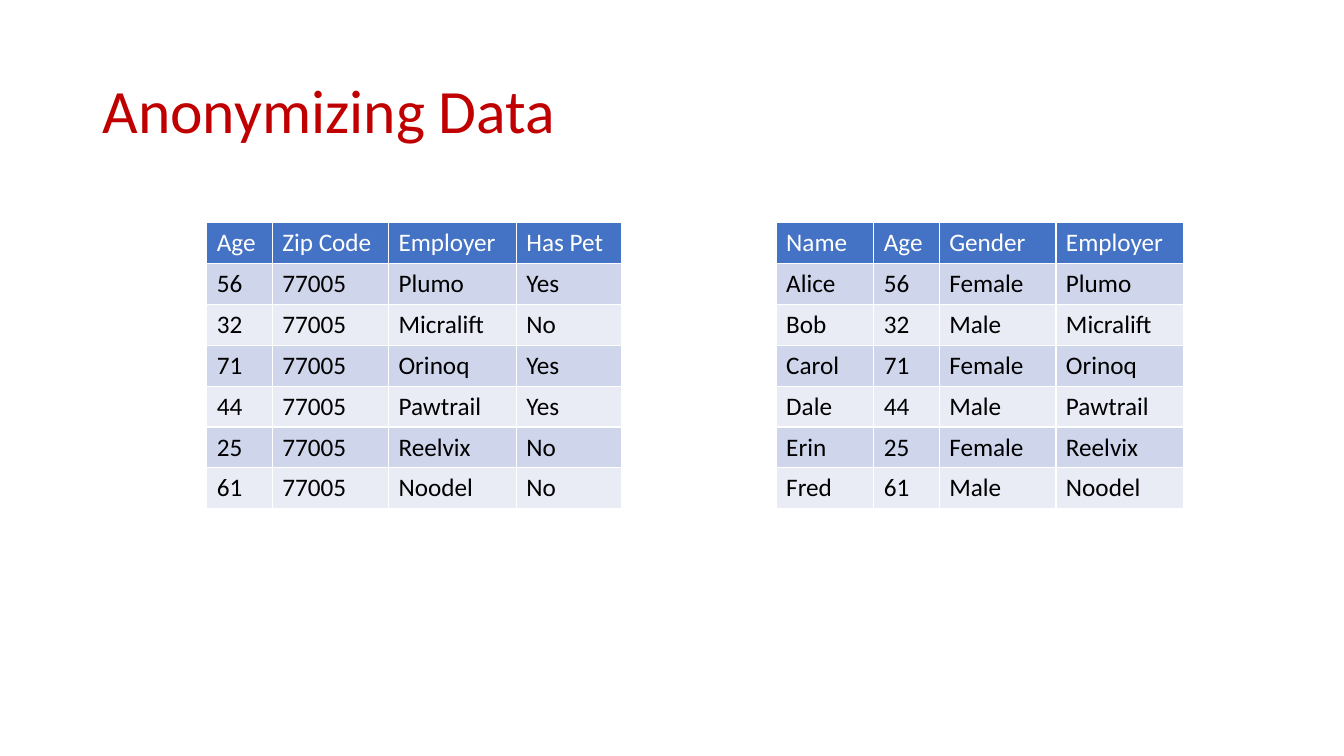
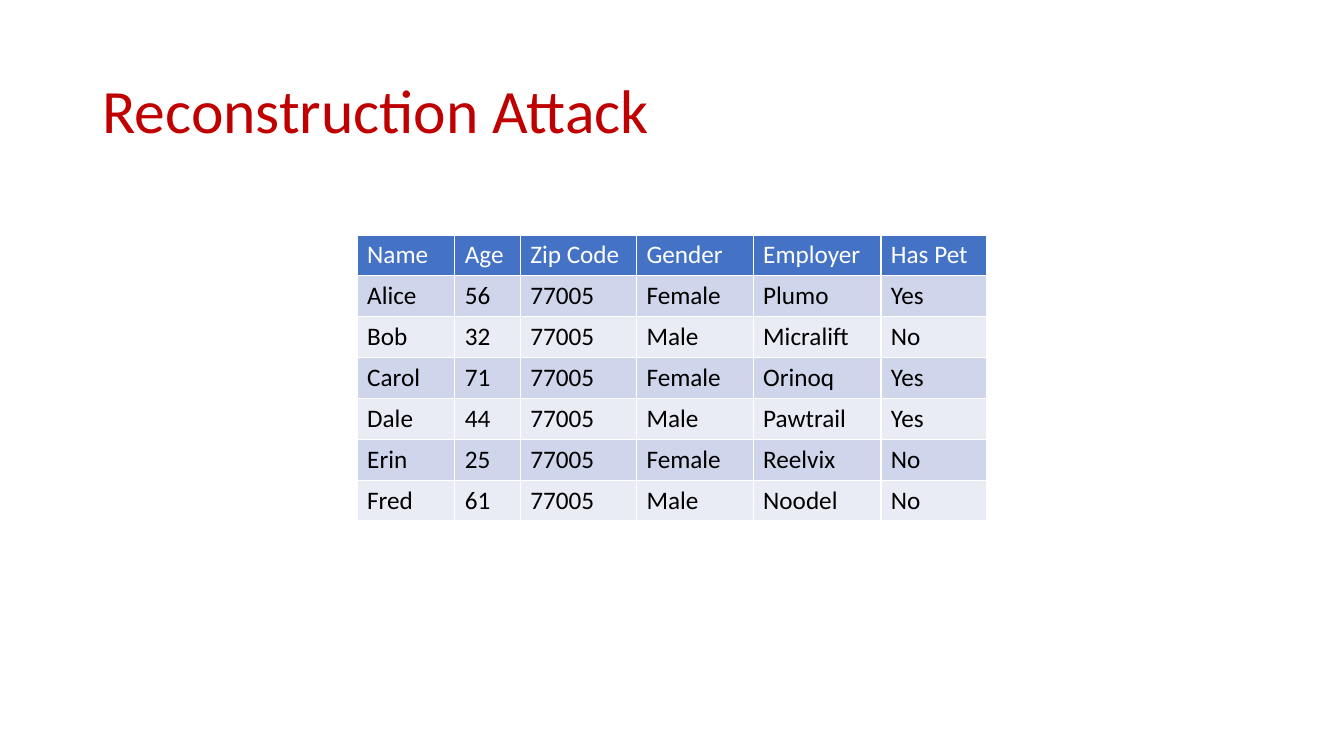
from dataclasses import dataclass

from lxml import etree
from pptx import Presentation
from pptx.dml.color import RGBColor
from pptx.enum.text import MSO_ANCHOR, MSO_AUTO_SIZE, PP_ALIGN
from pptx.oxml.ns import qn
from pptx.slide import Slide
from pptx.table import _Cell
from pptx.text.text import TextFrame
from pptx.util import Cm, Pt

LEFT = PP_ALIGN.LEFT
MIDDLE = MSO_ANCHOR.MIDDLE
NO_AUTOFIT = MSO_AUTO_SIZE.NONE
TITLE_ONLY = 5

FONT = "Calibri"
COLORS = {
    "title": "C00000",
    "header": "4472C4",
    "odd_row": "CFD5EA",
    "even_row": "E9EBF5",
    "white": "FFFFFF",
    "black": "000000",
}

# Column widths and row height in centimetres
WIDTHS = {"Name": 2.46, "Age": 1.65, "Zip Code": 2.93,
          "Gender": 2.94, "Employer": 3.22, "Has Pet": 2.66}
ROW_HEIGHT = 1.03

# One record per person, in the order of WIDTHS
PEOPLE = [
    ("Alice", "56", "77005", "Female", "Plumo", "Yes"),
    ("Bob", "32", "77005", "Male", "Micralift", "No"),
    ("Carol", "71", "77005", "Female", "Orinoq", "Yes"),
    ("Dale", "44", "77005", "Male", "Pawtrail", "Yes"),
    ("Erin", "25", "77005", "Female", "Reelvix", "No"),
    ("Fred", "61", "77005", "Male", "Noodel", "No"),
]
RECORDS = [dict(zip(WIDTHS, person)) for person in PEOPLE]


@dataclass(frozen=True)
class DataTable:
    left: float
    top: float
    columns: tuple[str, ...]


@dataclass(frozen=True)
class Page:
    title: str
    tables: tuple[DataTable, ...]


PAGES = [
    Page("Anonymizing Data", (
        DataTable(5.21, 5.61, ("Age", "Zip Code", "Employer", "Has Pet")),
        DataTable(19.56, 5.61, ("Name", "Age", "Gender", "Employer")),
    )),
    Page("Reconstruction Attack", (DataTable(9.0, 5.92, tuple(WIDTHS)),)),
]


def rgb(name: str) -> RGBColor:
    return RGBColor.from_string(COLORS[name])


def write(tf: TextFrame, text: str, *, size: float, color: str,
          spacing: float = 1.0) -> None:
    p = tf.paragraphs[0]
    p.alignment = LEFT
    p.line_spacing = spacing
    r = p.add_run()
    r.text = text
    r.font.name = FONT
    r.font.size = Pt(size)
    r.font.bold = False
    r.font.color.rgb = rgb(color)


def add_borders(cell: _Cell, width: float = 1) -> None:
    tc_pr = cell._tc.get_or_add_tcPr()
    for side in "LRTB":
        ln = etree.SubElement(tc_pr, qn(f"a:ln{side}"), w=str(Pt(width)))
        fill = etree.SubElement(ln, qn("a:solidFill"))
        etree.SubElement(fill, qn("a:srgbClr"), val=COLORS["white"])


def add_title(s: Slide, text: str) -> None:
    sp = s.shapes.title
    sp.left, sp.top, sp.width, sp.height = Cm(2.33), Cm(1.01), Cm(29.21), Cm(3.68)
    tf = sp.text_frame
    tf.word_wrap = True
    tf.auto_size = NO_AUTOFIT
    tf.vertical_anchor = MIDDLE
    write(tf, text, size=44, color="title", spacing=0.9)


def add_data_table(s: Slide, spec: DataTable) -> None:
    rows = [spec.columns] + [[rec[c] for c in spec.columns] for rec in RECORDS]
    width = sum(WIDTHS[c] for c in spec.columns)
    table = s.shapes.add_table(
        len(rows), len(spec.columns), Cm(spec.left), Cm(spec.top),
        Cm(width), Cm(ROW_HEIGHT * len(rows))).table
    for column, name in zip(table.columns, spec.columns):
        column.width = Cm(WIDTHS[name])

    for i, values in enumerate(rows):
        table.rows[i].height = Cm(ROW_HEIGHT)
        is_header = i == 0
        band = "header" if is_header else "odd_row" if i % 2 else "even_row"
        for j, value in enumerate(values):
            cell = table.cell(i, j)
            add_borders(cell)
            cell.fill.solid()
            cell.fill.fore_color.rgb = rgb(band)
            write(cell.text_frame, value, size=18,
                  color="white" if is_header else "black")


def main() -> None:
    prs = Presentation()
    prs.slide_width, prs.slide_height = Cm(33.87), Cm(19.05)
    for page in PAGES:
        s = prs.slides.add_slide(prs.slide_layouts[TITLE_ONLY])
        add_title(s, page.title)
        for spec in page.tables:
            add_data_table(s, spec)
    prs.save("out.pptx")


if __name__ == "__main__":
    main()
